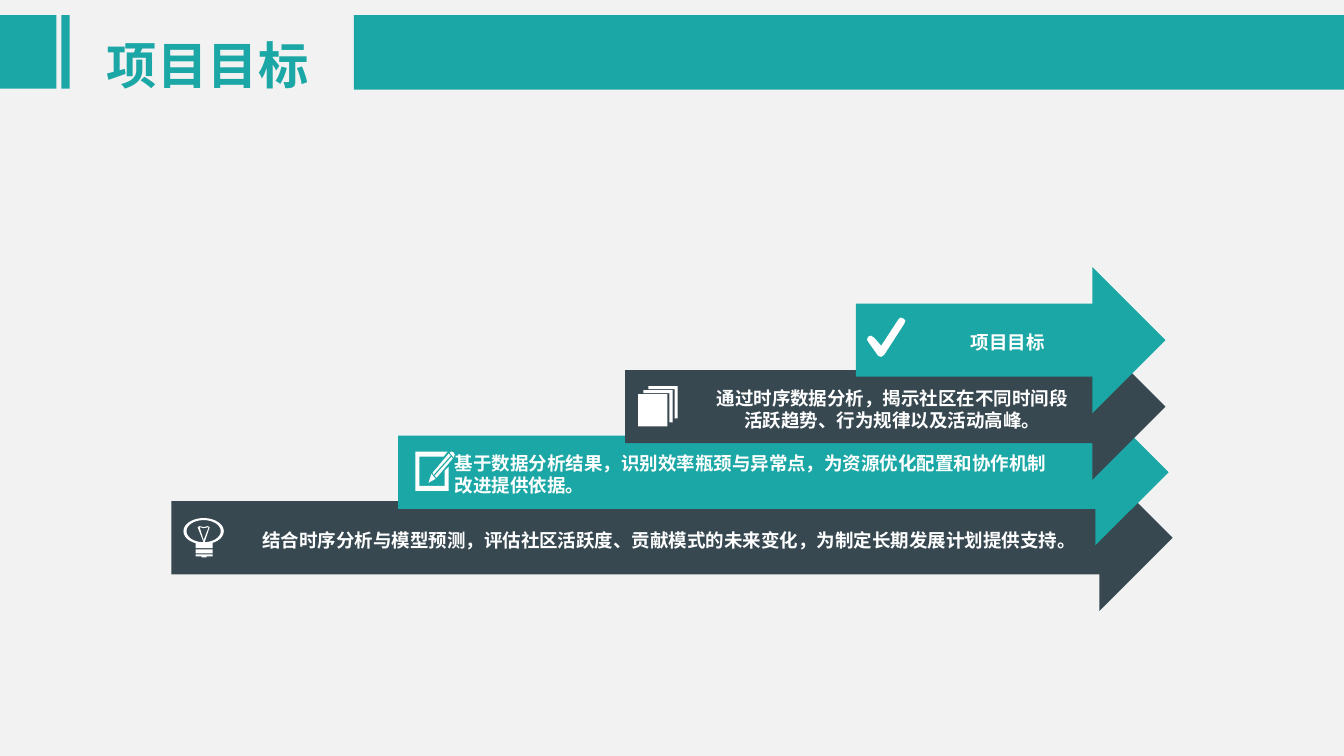
from dataclasses import dataclass
from math import cos, pi, sin

from lxml.etree import SubElement
from pptx import Presentation
from pptx.dml.color import RGBColor
from pptx.enum.shapes import MSO_SHAPE as Shape
from pptx.enum.text import MSO_ANCHOR as Anchor, PP_ALIGN as Align
from pptx.oxml.ns import qn
from pptx.util import Inches, Pt


@dataclass(frozen=True)
class Theme:
    teal: str = "1BA7A5"
    slate: str = "374851"
    white: str = "FFFFFF"
    backdrop: str = "F2F2F2"
    font: str = "Noto Sans CJK SC"
    title_size: float = 36
    arrow_size: float = 13.2


class GoalSlide:
    def __init__(self, deck, theme):
        self.theme = theme
        self.slide = deck.slides.add_slide(deck.slide_layouts[5])
        fill = self.slide.background.fill
        fill.solid()
        fill.fore_color.rgb = RGBColor.from_string(theme.backdrop)

    def paint(self, shape, color):
        shape.shadow.inherit = False
        shape.fill.solid()
        shape.fill.fore_color.rgb = RGBColor.from_string(color)
        shape.line.fill.background()
        return shape

    def set_text(self, frame, lines, size, color, align, spacing, **frame_format):
        frame_format = {"word_wrap": True, "vertical_anchor": Anchor.MIDDLE, **frame_format}
        for key, value in frame_format.items():
            setattr(frame, key, value)
        for index, line in enumerate(lines):
            paragraph = frame.paragraphs[0] if index == 0 else frame.add_paragraph()
            paragraph.alignment, paragraph.line_spacing = align, spacing
            run = paragraph.add_run()
            run.text = line
            for key, value in {"name": self.theme.font, "size": Pt(size), "bold": True}.items():
                setattr(run.font, key, value)
            run.font.color.rgb = RGBColor.from_string(color)
            # East Asian typeface
            SubElement(run._r.get_or_add_rPr(), qn("a:ea"), typeface=self.theme.font)

    def title(self, text, left, top, width, height):
        title = self.slide.shapes.title
        place = {"left": left, "top": top, "width": width, "height": height}
        for key, value in place.items():
            setattr(title, key, Inches(value))
        self.set_text(title.text_frame, [text], self.theme.title_size, self.theme.teal,
                      Align.LEFT, 1.2)

    def box(self, left, top, width, height, color, kind=Shape.RECTANGLE):
        place = map(Inches, (left, top, width, height))
        return self.paint(self.slide.shapes.add_shape(kind, *place), color)

    def arrow(self, left, top, right, color, lines, align):
        arrow = self.box(left, top, right - left, 1.45, color, Shape.RIGHT_ARROW)
        self.set_text(arrow.text_frame, lines, self.theme.arrow_size, self.theme.white, align, 1.0,
                      margin_left=Inches(0.56), margin_right=Inches(0.26),
                      margin_top=Inches(0.04), margin_bottom=0)

    def outline(self, *contours):
        contours = [[(Inches(x), Inches(y)) for x, y in contour] for contour in contours]
        builder = self.slide.shapes.build_freeform(*contours[0][0])
        for index, contour in enumerate(contours):
            if index:
                builder.move_to(*contour[0])
            builder.add_line_segments(contour[1:], close=True)
        return self.paint(builder.convert_to_shape(), self.theme.white)


def ellipse(center_x, center_y, radius_x, radius_y, turn=1, steps=48):
    angles = [turn * 2 * pi * step / steps for step in range(steps)]
    return [(center_x + radius_x * cos(a), center_y + radius_y * sin(a)) for a in angles]


def bulb_icon(page):
    page.outline(ellipse(2.02, 5.27, 0.2, 0.13), ellipse(2.02, 5.27, 0.17, 0.11, turn=-1))
    for top, height in ((5.38, 0.06), (5.45, 0.04)):
        page.box(1.94, top, 0.17, height, page.theme.white)
    page.outline([(1.94, 5.5), (2.11, 5.5), (2.11, 5.52), (2.05, 5.52),
                  (2.05, 5.53), (2, 5.53), (2, 5.52), (1.94, 5.52)])
    page.outline([(1.96, 5.23), (1.98, 5.22), (2.02, 5.23), (2.06, 5.22),
                  (2.08, 5.23), (2.03, 5.38), (2.02, 5.38)],
                 [(2.02, 5.36), (2.07, 5.23), (2.02, 5.24), (1.98, 5.23)])


def edit_icon(page):
    pencil_tip = [(4.32, 4.75), (4.28, 4.7), (4.25, 4.79)]
    upper_shaft = [(4.45, 4.5), (4.29, 4.69), (4.3, 4.71), (4.47, 4.52)]
    lower_shaft = [(4.31, 4.72), (4.33, 4.74), (4.49, 4.55), (4.48, 4.53)]
    eraser = [(4.46, 4.49), (4.48, 4.48), (4.5, 4.49), (4.51, 4.51), (4.5, 4.54)]
    frame = [(4.41, 4.82), (4.16, 4.82), (4.16, 4.53), (4.4, 4.53), (4.44, 4.48), (4.12, 4.48),
             (4.12, 4.87), (4.45, 4.87), (4.45, 4.63), (4.41, 4.67)]
    for part in (pencil_tip, upper_shaft, lower_shaft, eraser, frame):
        page.outline(part)


def sheets_icon(page):
    width, height, edge = 0.29, 0.32, 0.03
    for left, top in ((6.38, 3.87), (6.43, 3.83)):
        right, bottom = left + width, top + height
        page.outline([(left, top), (right, top), (right, bottom), (right - edge, bottom),
                      (right - edge, top + edge), (left, top + edge)])
    page.box(6.33, 3.91, width, height, page.theme.white)


def check_icon(page):
    page.outline([(8.74, 3.54), (8.71, 3.53), (8.61, 3.39), (8.6, 3.37), (8.61, 3.34),
                  (8.64, 3.33), (8.67, 3.35), (8.74, 3.43), (8.91, 3.17), (8.93, 3.15),
                  (8.96, 3.16), (8.98, 3.18), (8.97, 3.21), (8.77, 3.52)])


def main():
    deck = Presentation()
    deck.slide_width, deck.slide_height = Inches(13.33), Inches(7.5)
    theme = Theme()
    page = GoalSlide(deck, theme)

    # Header bars and title
    for left, width, height in ((0, 0.56, 0.73), (0.61, 0.08, 0.73), (3.51, 9.82, 0.74)):
        page.box(left, 0.15, width, height, theme.teal)
    page.title("项目目标", 0.96, 0.19, 2.22, 0.78)

    # Stacked arrows, lowest first, each with its icon
    goals = [
        (1.7, 4.61, 11.63, theme.slate, Align.CENTER, bulb_icon,
         ["结合时序分析与模型预测，评估社区活跃度、贡献模式的未来变化，为制定长期发展计划提供支持。"]),
        (3.95, 3.96, 11.59, theme.teal, Align.JUSTIFY, edit_icon,
         ["基于数据分析结果，识别效率瓶颈与异常点，为资源优化配置和协作机制", "改进提供依据。"]),
        (6.2, 3.31, 11.56, theme.slate, Align.CENTER, sheets_icon,
         ["通过时序数据分析，揭示社区在不同时间段", "活跃趋势、行为规律以及活动高峰。"]),
        (8.49, 2.65, 11.56, theme.teal, Align.CENTER, check_icon, ["项目目标"]),
    ]
    for left, top, right, color, align, draw_icon, lines in goals:
        page.arrow(left, top, right, color, lines, align)
        draw_icon(page)

    deck.save("out.pptx")


if __name__ == "__main__":
    main()
